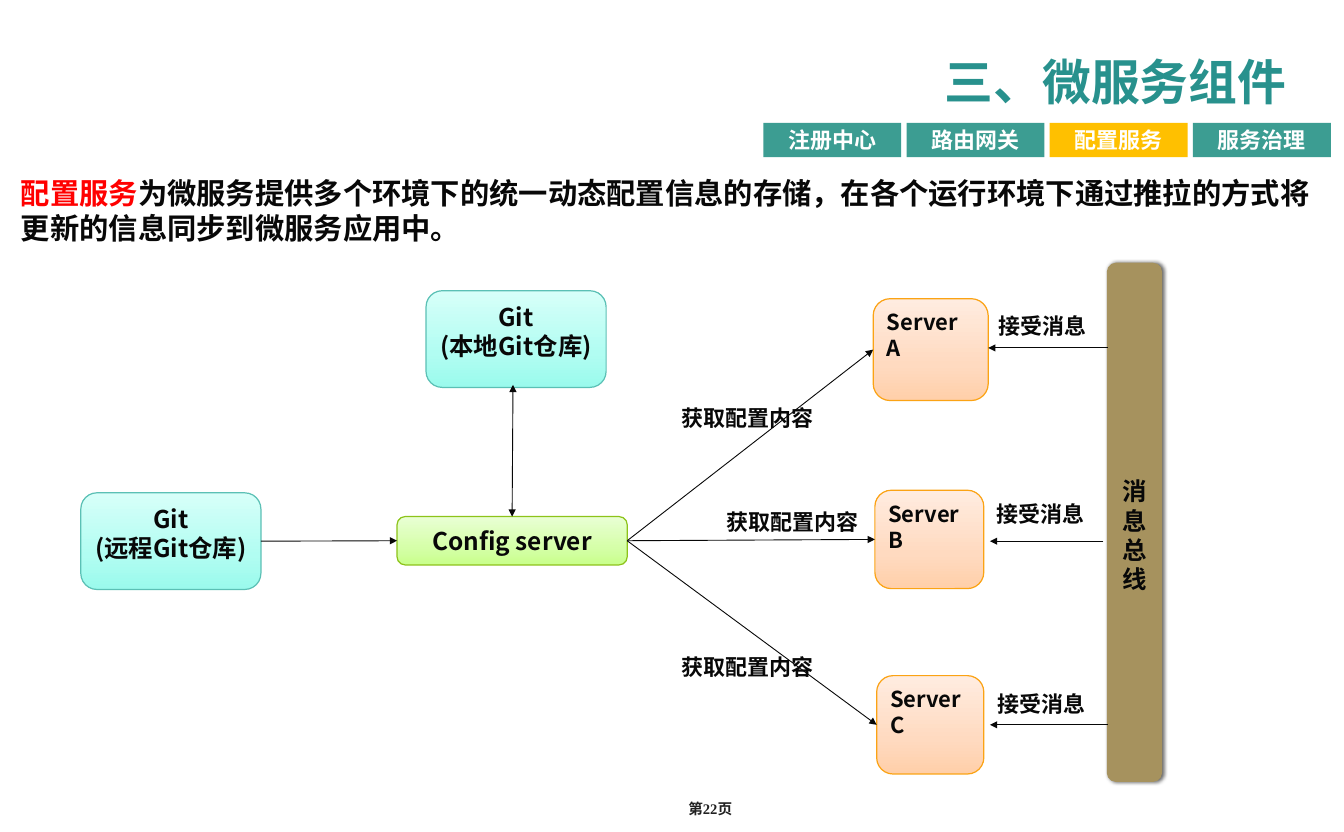
from copy import deepcopy
from pptx import Presentation
from pptx.dml.color import RGBColor
from pptx.enum.shapes import MSO_CONNECTOR, MSO_SHAPE
from pptx.enum.text import MSO_ANCHOR, PP_ALIGN
from pptx.oxml import parse_xml
from pptx.oxml.ns import nsdecls, qn
from pptx.util import Pt

PX = 9144  # 100 px to the inch
FONT = "Noto Sans CJK SC"
RECT, ROUND = MSO_SHAPE.RECTANGLE, MSO_SHAPE.ROUNDED_RECTANGLE
STRAIGHT = MSO_CONNECTOR.STRAIGHT
LEFT, CENTER, RIGHT = PP_ALIGN.LEFT, PP_ALIGN.CENTER, PP_ALIGN.RIGHT
TOP, MIDDLE = MSO_ANCHOR.TOP, MSO_ANCHOR.MIDDLE

INK = RGBColor(0x08, 0x08, 0x08)
GREY = RGBColor(0x21, 0x21, 0x21)
WHITE = RGBColor(0xFF, 0xFF, 0xFF)
RED = RGBColor(0xFF, 0x00, 0x00)
TITLE = RGBColor(0x28, 0x91, 0x8D)
TEAL = RGBColor(0x3C, 0x9D, 0x92)
AMBER = RGBColor(0xFF, 0xC0, 0x00)
BRONZE = RGBColor(0xA6, 0x92, 0x5E)
# Line colour, then gradient colours from bottom to top
GREEN = [RGBColor(0x8D, 0xC3, 0x1A), RGBColor(0xC8, 0xFF, 0x8B),
         RGBColor(0xD5, 0xFF, 0xA8), RGBColor(0xE9, 0xFF, 0xD4)]
AQUA = [RGBColor(0x5B, 0xC0, 0xB5), RGBColor(0x9A, 0xFA, 0xEC),
        RGBColor(0xB1, 0xFD, 0xF2), RGBColor(0xD7, 0xFF, 0xF9)]
ORANGE = [RGBColor(0xFB, 0xA3, 0x14), RGBColor(0xFF, 0xCF, 0xA9),
          RGBColor(0xFF, 0xDA, 0xC0), RGBColor(0xFF, 0xEC, 0xE0)]

prs = Presentation()
prs.slide_width, prs.slide_height = 1530 * PX, 947 * PX
s = prs.slides.add_slide(prs.slide_layouts[6])


def write(sp, paragraphs, size, align=CENTER, anchor=MIDDLE, pitch=None,
          insets=(10, 5, 10, 5), wrap=True, font=FONT):
    """Fill a shape with paragraphs, each a list of (text, colour) runs."""
    tf = sp.text_frame
    left, top, right, bottom = [v * PX for v in insets]
    for name, value in dict(word_wrap=wrap, vertical_anchor=anchor,
                            margin_left=left, margin_top=top,
                            margin_right=right, margin_bottom=bottom).items():
        setattr(tf, name, value)
    for i, runs in enumerate(paragraphs):
        p = tf.add_paragraph() if i else tf.paragraphs[0]
        p.alignment = align
        if pitch:
            p.line_spacing = Pt(pitch)
        for text, colour in runs:
            r = p.add_run()
            r.text = text
            for name, value in dict(name=font, size=Pt(size), bold=True).items():
                setattr(r.font, name, value)
            r.font.color.rgb = colour
            r.font._element.append(
                parse_xml(f'<a:ea {nsdecls("a")} typeface="{FONT}"/>'))


def add_box(kind, at, fill):
    """Draw a box with a plain fill, or with an outline and gradient."""
    sp = s.shapes.add_shape(kind, *[v * PX for v in at])
    sp.shadow.inherit = False
    if isinstance(fill, RGBColor):
        sp.fill.solid()
        sp.fill.fore_color.rgb = fill
        sp.line.fill.background()
        return sp
    sp.line.color.rgb = fill[0]
    sp.line.width = Pt(1)
    sp.fill.gradient()
    sp.fill.gradient_angle = 90
    stops = sp._element.spPr.find(".//" + qn("a:gsLst"))
    stops.insert(1, deepcopy(stops[0]))
    for stop, colour, position in zip(sp.fill.gradient_stops, fill[1:], (0, 0.35, 1)):
        stop.color.rgb = colour
        stop.position = position
    return sp


# Title, introduction and page number
sp = s.shapes.add_textbox(340 * PX, 50 * PX, 1134 * PX, 84 * PX)
write(sp, [[("三、微服务组件", TITLE)]], 40, RIGHT)
sp = s.shapes.add_textbox(14 * PX, 190 * PX, 1499 * PX, 94 * PX)
write(sp, [[("配置服务", RED),
            ("为微服务提供多个环境下的统一动态配置信息的存储，在各个运行环境下"
             "通过推拉的方式将更新的信息同步到微服务应用中。", INK)]],
      24, LEFT, pitch=29, insets=(10, 10, 10, 5))
sp = s.shapes.add_textbox(765 * PX, 896 * PX, 87 * PX, 50 * PX)
write(sp, [[("第22页", GREY)]], 12, font="Times New Roman")

# Navigation tabs
for i, name in enumerate(["注册中心", "路由网关", "配置服务", "服务治理"]):
    sp = add_box(RECT, (869 + 163 * i, 140, 157, 39), AMBER if i == 2 else TEAL)
    write(sp, [[(name, WHITE)]], 18)

# Config server and the two Git stores
config = add_box(ROUND, (452, 588, 262, 55), GREEN)
write(config, [[("Config server", INK)]], 20, anchor=TOP, pitch=24,
      insets=(10, 8, 10, 5))
stores = []
for x, y, name in [(92, 561, "(远程Git仓库)"), (485, 331, "(本地Git仓库)")]:
    sp = add_box(ROUND, (x, y, 205, 110), AQUA)
    write(sp, [[("Git", INK)], [(name, INK)]], 20, anchor=TOP, pitch=24,
          insets=(10, 7, 10, 5))
    stores.append(sp)
remote = stores[0]

# Servers
servers = []
for name, at in [("A", (994, 340, 131, 116)), ("B", (996, 558, 124, 112)),
                 ("C", (998, 769, 122, 112))]:
    sp = add_box(ROUND, at, ORANGE)
    write(sp, [[("Server " + name, INK)]], 18, LEFT, TOP, pitch=21.5,
          insets=(10, 6, 15, 5))
    servers.append(sp)
server_a, server_b, server_c = servers

# Message bus
bus = add_box(ROUND, (1260, 299, 63, 591), BRONZE)
bus._element.spPr.find(qn("a:effectLst")).append(parse_xml(
    f'<a:outerShdw {nsdecls("a")} blurRad="38100" dist="19050" dir="0">'
    '<a:srgbClr val="000000"><a:alpha val="60000"/></a:srgbClr></a:outerShdw>'))
write(bus, [[("消息总线", INK)]], 20, pitch=24, insets=(10, 34, 10, 5))

# Arrows: end points, then the shape and side joined at each end
arrows = [
    ((1261, 396, 1125, 396), None, None),
    ((1256, 616, 1127, 616), None, None),
    ((1261, 825, 1127, 825), None, None),
    ((714, 615, 994, 398), (config, 3), (server_a, 1)),
    ((714, 615, 996, 614), (config, 3), (server_b, 1)),
    ((714, 615, 998, 825), (config, 3), (server_c, 1)),
    ((584, 438, 584, 588), None, (config, 0)),
    ((297, 616, 452, 616), (remote, 3), (config, 1)),
]
for ends, start, finish in arrows:
    c = s.shapes.add_connector(STRAIGHT, *[v * PX for v in ends])
    if start:
        c.begin_connect(*start)
    if finish:
        c.end_connect(*finish)
    c.line.color.rgb = INK
    c.line.width = Pt(0.75)
    heads = ["headEnd", "tailEnd"] if ends[0] == ends[2] else ["tailEnd"]
    for head in heads:
        c.line._get_or_add_ln().append(
            parse_xml(f'<a:{head} {nsdecls("a")} type="triangle"/>'))
    c._element.spPr.append(parse_xml(f'<a:effectLst {nsdecls("a")}/>'))

# Arrow labels
labels = [("获取配置内容", 172, [(766, 455), (817, 574), (766, 739)]),
          ("接受消息", 121, [(1127, 351), (1125, 565), (1126, 781)])]
for text, width, places in labels:
    for x, y in places:
        sp = s.shapes.add_textbox(x * PX, y * PX, width * PX, 40 * PX)
        write(sp, [[(text, INK)]], 18, LEFT, wrap=False)

prs.save("out.pptx")
